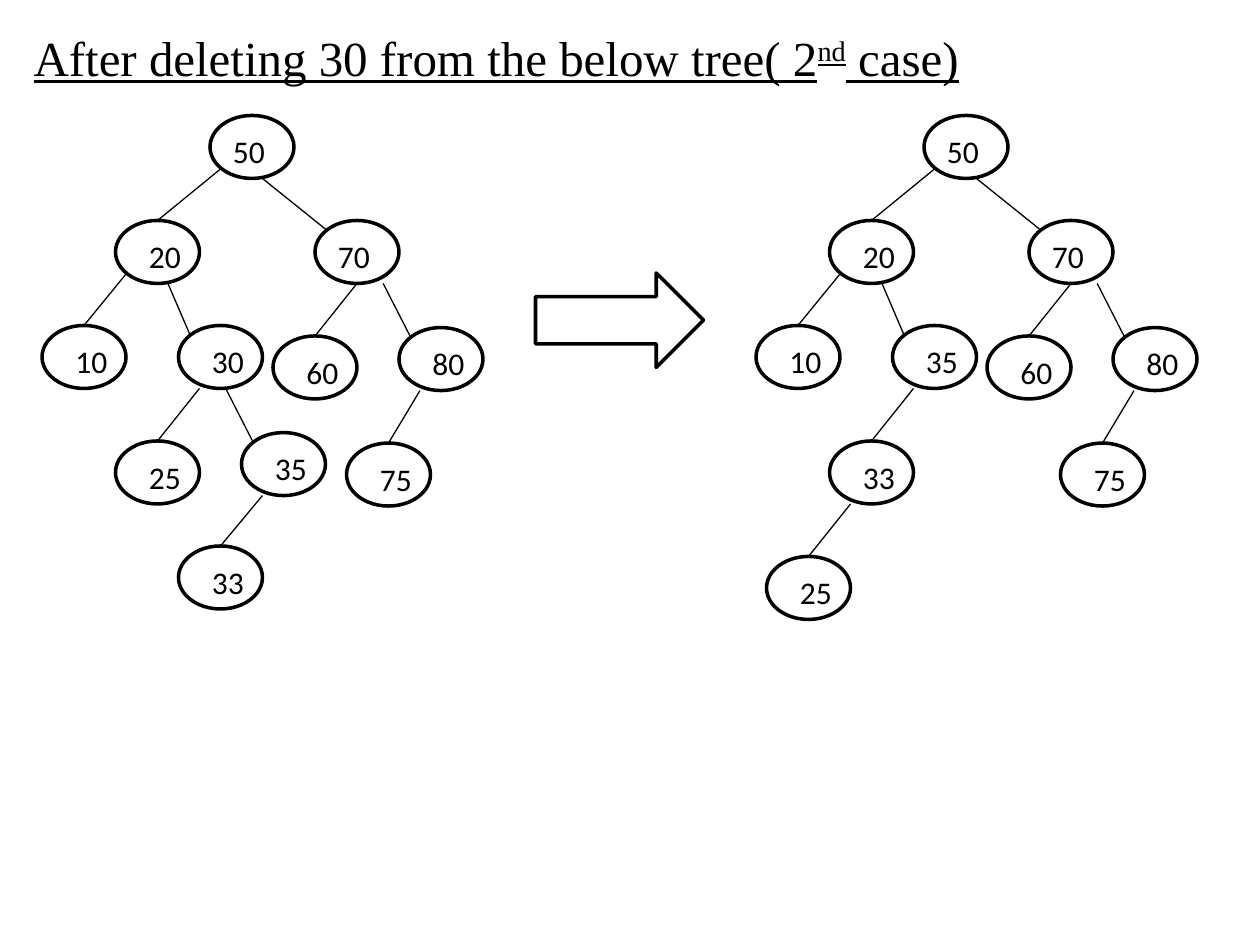
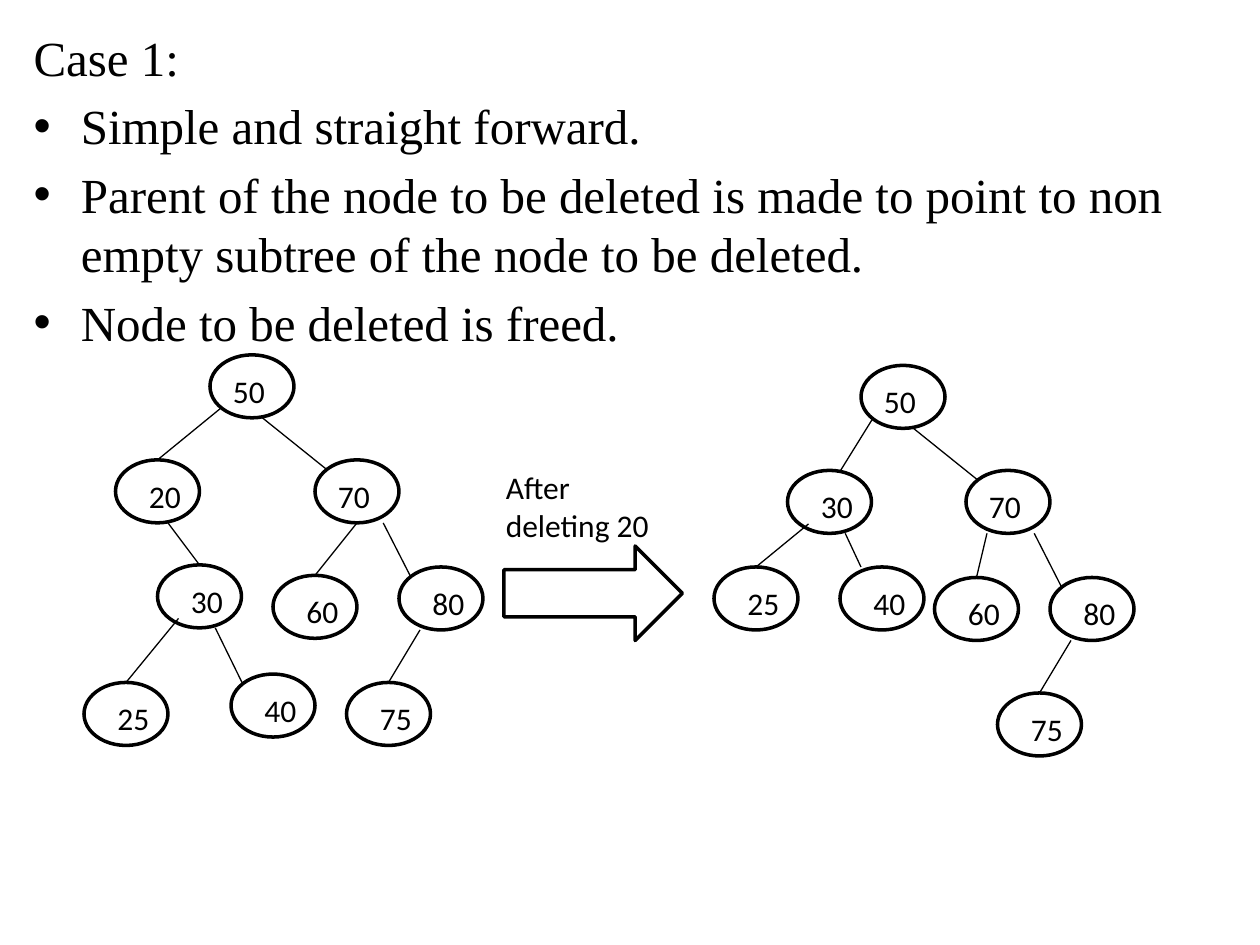
import pptx
import pptx.dml.color
import pptx.enum.shapes
import pptx.enum.text
import pptx.oxml.ns
import pptx.util
import lxml.etree

COLUMNS, ROWS = 120, 90
CELL = pptx.util.Inches(10) // COLUMNS
INK, PAPER = "000000", "FFFFFF"
BODY_FONT = {"name": "Times New Roman", "size": pptx.util.Pt(28)}
LABEL_FONT = {"name": "Calibri", "size": pptx.util.Pt(18)}
SHAPES = pptx.enum.shapes.MSO_SHAPE

NODE_SIZE = (8, 6)
LABEL_SIZE = (6, 4.8)
LABEL_SHIFT = {"50": 1, "70": 1}
TOP = (4, 0)
LEFT_EDGE = ((2, 6), TOP)
LOW_LEFT_EDGE = ((2, 5.1), TOP)
OUTER_EDGE = ((1, 5.1), TOP)
MIDDLE_EDGE = ((4, 6), TOP)
RIGHT_EDGE = ((5, 6), (1.1, 0.9))
FAR_RIGHT_EDGE = ((6.5, 6), (1.1, 0.9))

FULL_TREE = {
    "50": (16, 0, None, None),
    "20": (7, 10, "50", OUTER_EDGE),
    "70": (26, 10, "50", RIGHT_EDGE),
    "60": (22, 21, "70", MIDDLE_EDGE),
    "80": (34, 20.2, "70", FAR_RIGHT_EDGE),
    "75": (29, 31.2, "80", LEFT_EDGE),
}
TWO_CHILDREN_BEFORE = FULL_TREE | {
    "10": (0, 20, "20", OUTER_EDGE),
    "30": (13, 20, "20", RIGHT_EDGE),
    "25": (7, 31, "30", LEFT_EDGE),
    "35": (19, 30.2, "30", ((4.5, 6), (1.1, 0.9))),
    "33": (13, 41, "35", LEFT_EDGE),
}
TWO_CHILDREN_AFTER = FULL_TREE | {
    "10": (0, 20, "20", OUTER_EDGE),
    "35": (13, 20, "20", RIGHT_EDGE),
    "33": (7, 31, "35", LEFT_EDGE),
    "25": (1, 42, "33", LEFT_EDGE),
}
ONE_CHILD_BEFORE = FULL_TREE | {
    "30": (11, 20, "20", ((5, 6), TOP)),
    "25": (4, 31.2, "30", LOW_LEFT_EDGE),
    "40": (18, 30.4, "30", ((5.5, 6), (1.1, 0.9))),
}
ONE_CHILD_AFTER = {
    "50": (14, 0, None, None),
    "30": (7, 10, "50", ((1.1, 5.1), (5, 0.1))),
    "70": (24, 10, "50", RIGHT_EDGE),
    "25": (0, 19.2, "30", LOW_LEFT_EDGE),
    "40": (12, 19.2, "30", ((5.5, 6), (2, 0))),
    "60": (21, 20.2, "70", ((2, 6), TOP)),
    "80": (32, 20.2, "70", FAR_RIGHT_EDGE),
    "75": (27, 31.2, "80", LEFT_EDGE),
}


def grid(*counts):
    return [round(count * CELL) for count in counts]


def color(value):
    return pptx.dml.color.RGBColor.from_string(value)


def style(target, values):
    for name, value in values.items():
        setattr(target, name, value)


def style_font(font, values):
    style(font, values)
    font.color.rgb = color(INK)


def add_outline(page, kind, left, top, width, height):
    shape = page.shapes.add_shape(kind, *grid(left, top, width, height))
    shape.shadow.inherit = False
    shape.fill.solid()
    shape.fill.fore_color.rgb = color(PAPER)
    shape.line.color.rgb = color(INK)
    shape.line.width = pptx.util.Pt(2)


def add_label(page, text, left, top, width, height):
    box = page.shapes.add_textbox(*grid(left, top, width, height))
    style(box.text_frame, {
        "word_wrap": True,
        "auto_size": pptx.enum.text.MSO_AUTO_SIZE.SHAPE_TO_FIT_TEXT,
    })
    span = box.text_frame.paragraphs[0].add_run()
    span.text = text
    style_font(span.font, LABEL_FONT)


def add_edge(page, start, end):
    edge = page.shapes.add_connector(
        pptx.enum.shapes.MSO_CONNECTOR.STRAIGHT, *grid(*start, *end))
    edge.line.color.rgb = color(INK)
    edge.line.width = pptx.util.Pt(0.75)
    lxml.etree.SubElement(
        edge._element.spPr, pptx.oxml.ns.qn("a:effectLst"))


def add_tree(page, nodes, left, top):
    corners = {value: (left + column, top + row)
               for value, (column, row, _, _) in nodes.items()}
    for value, (_, _, parent, anchors) in nodes.items():
        x, y = corners[value]
        add_outline(page, SHAPES.OVAL, x, y, *NODE_SIZE)
        add_label(page, value, x + LABEL_SHIFT.get(value, 2), y + 1, *LABEL_SIZE)
        if parent:
            (out_x, out_y), (in_x, in_y) = anchors
            parent_x, parent_y = corners[parent]
            add_edge(page, (parent_x + out_x, parent_y + out_y),
                     (x + in_x, y + in_y))


def add_page(deck):
    page = deck.slides.add_slide(deck.slide_layouts[1])
    title = page.shapes.title._element
    title.getparent().remove(title)
    body = page.placeholders[1]
    left, top, width, height = grid(2, 2, COLUMNS - 4, ROWS - 4)
    style(body, {"left": left, "top": top, "width": width, "height": height})
    return page, body.text_frame


def add_body_line(frame, spans, bulleted=False):
    para = frame.add_paragraph() if frame.text else frame.paragraphs[0]
    if not bulleted:
        lxml.etree.SubElement(
            para._p.get_or_add_pPr(), pptx.oxml.ns.qn("a:buNone"))
    para.space_before = pptx.util.Pt(5.6 if bulleted else 0)
    for text, values in spans:
        span = para.add_run()
        span.text = text
        style_font(span.font, BODY_FONT | values)
    return para


def build_two_children_page(deck):
    page, frame = add_page(deck)
    underlined = {"underline": True}
    heading = add_body_line(frame, [
        ("After deleting 30 from the below tree( 2", underlined),
        ("nd", underlined),
        (" case)", underlined),
    ])
    heading.runs[1]._r.get_or_add_rPr().set("baseline", "30000")
    add_tree(page, TWO_CHILDREN_BEFORE, 4, 11)
    add_outline(page, SHAPES.RIGHT_ARROW, 51, 26, 16, 9)
    add_tree(page, TWO_CHILDREN_AFTER, 72, 11)


def build_one_child_page(deck):
    page, frame = add_page(deck)
    add_body_line(frame, [("Case 1:", {})])
    for text in (
        "Simple and straight forward.",
        "Parent of the node to be deleted is made to point to non empty "
        "subtree of the node to be deleted.",
        "Node to be deleted is freed.",
    ):
        add_body_line(frame, [(text, {})], bulleted=True)
    add_tree(page, ONE_CHILD_BEFORE, 4, 33.8)
    add_outline(page, SHAPES.RIGHT_ARROW, 48, 52, 17, 9)
    add_label(page, "After deleting 20", 47, 44, 19, 8.5)
    add_tree(page, ONE_CHILD_AFTER, 68, 34.8)


def main():
    deck = pptx.Presentation()
    width, height = grid(COLUMNS, ROWS)
    style(deck, {"slide_width": width, "slide_height": height})
    build_two_children_page(deck)
    build_one_child_page(deck)
    deck.save("out.pptx")


if __name__ == "__main__":
    main()
